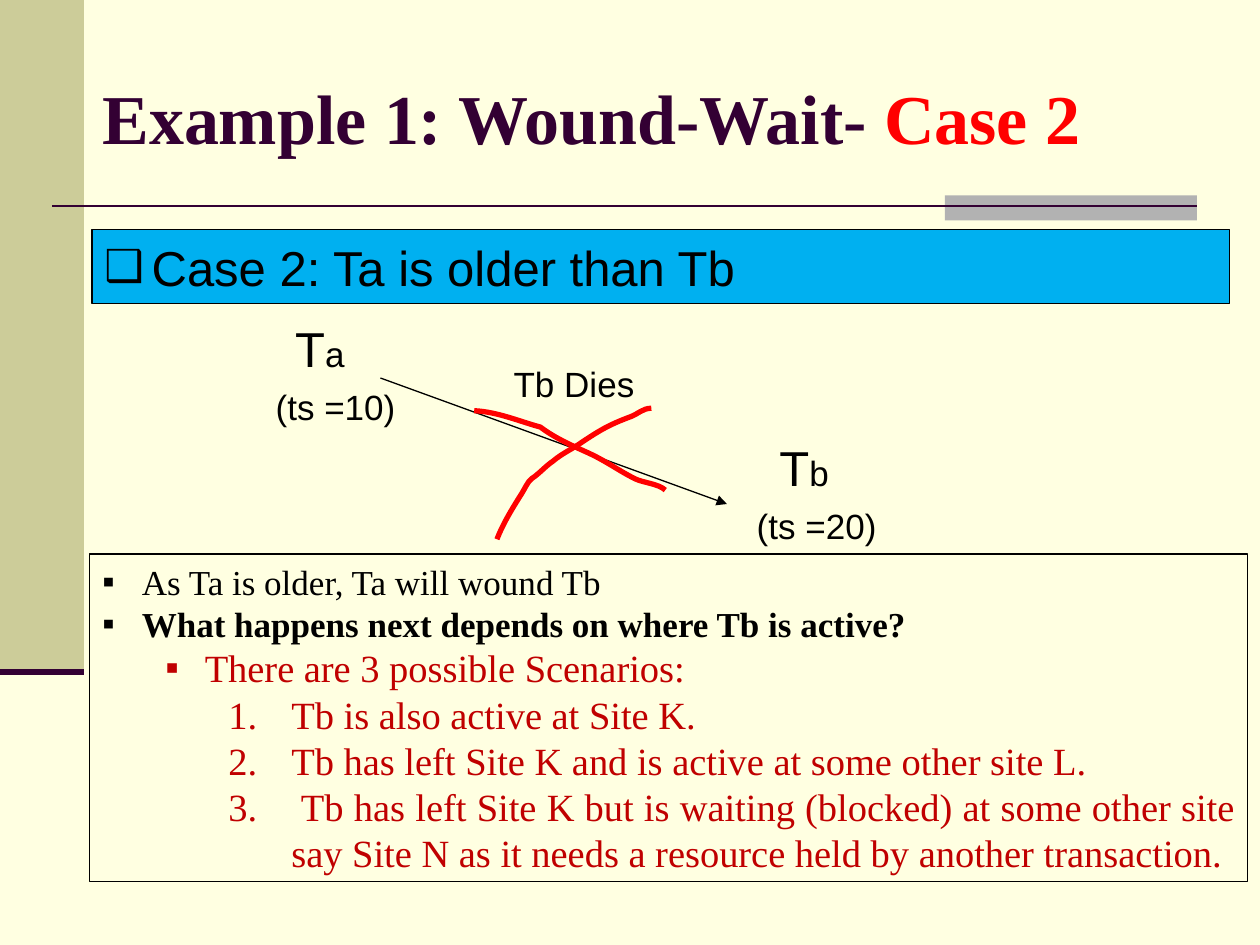
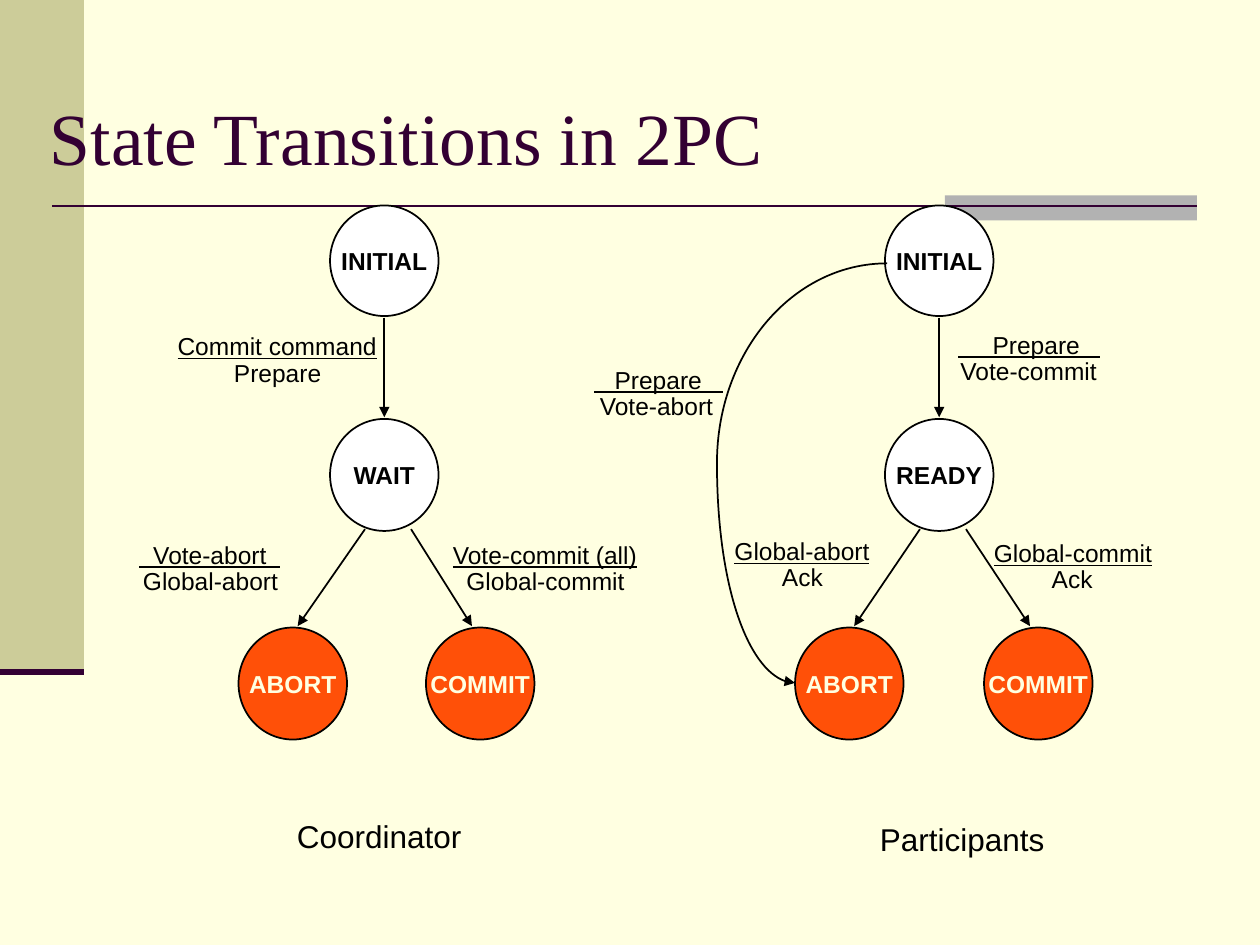
from lxml import etree
from pptx import Presentation
from pptx.dml.color import RGBColor
from pptx.enum.shapes import MSO_CONNECTOR, MSO_SHAPE
from pptx.enum.text import MSO_ANCHOR, MSO_AUTO_SIZE, PP_ALIGN
from pptx.oxml.ns import qn
from pptx.util import Pt

RECT, OVAL = MSO_SHAPE.RECTANGLE, MSO_SHAPE.OVAL
STRAIGHT = MSO_CONNECTOR.STRAIGHT
TOP, MIDDLE = MSO_ANCHOR.TOP, MSO_ANCHOR.MIDDLE
FIXED, GROW = MSO_AUTO_SIZE.NONE, MSO_AUTO_SIZE.SHAPE_TO_FIT_TEXT
LEFT, CENTER, JUSTIFY = PP_ALIGN.LEFT, PP_ALIGN.CENTER, PP_ALIGN.JUSTIFY

HEX = {
    "page": "FFFFE1", "band": "CCCC99", "tab": "B2B2B2", "plum": "330033",
    "black": "000000", "white": "FFFFFF", "red": "FF0000", "dark": "C00000",
    "sky": "00B0F0", "flame": "FF5008",
}
RGB = {name: RGBColor.from_string(code) for name, code in HEX.items()}
SANS, SERIF = "Arial", "Times New Roman"


def stroke(slide, points, color, width, tip=False):
    spots = [(Pt(x), Pt(y)) for x, y in points]
    if len(spots) == 2:
        item = slide.shapes.add_connector(STRAIGHT, *spots[0], *spots[1])
    else:
        pen = slide.shapes.build_freeform(*spots[0])
        pen.add_line_segments(spots[1:], close=False)
        item = pen.convert_to_shape()
        item.fill.background()
        route = item.element.find(".//" + qn("a:path"))
        legs = route.findall(qn("a:lnTo"))
        for first in range(0, len(legs), 3):
            bend = etree.SubElement(route, qn("a:cubicBezTo"))
            for leg in legs[first:first + 3]:
                bend.append(leg[0])
                route.remove(leg)
    item.line.color.rgb = RGB[color]
    item.line.width = Pt(width)
    frame = item.element.spPr
    if tip:
        etree.SubElement(frame.find(qn("a:ln")), qn("a:tailEnd"), type="triangle")
    etree.SubElement(frame, qn("a:effectLst"))
    return item


def label(slide, x, y, w, h, text, size, under=False):
    box = slide.shapes.add_textbox(Pt(x - 1), Pt(y), Pt(w + 2), Pt(h))
    box.text_frame.word_wrap = False
    box.text_frame.auto_size = GROW
    box.text_frame.text = text
    para = box.text_frame.paragraphs[0]
    para.alignment = CENTER
    font = para.runs[0].font
    font.name, font.size, font.underline = SANS, Pt(size), under
    font.color.rgb = RGB["black"]
    return para


deck = Presentation()
deck.slide_width, deck.slide_height = Pt(720), Pt(540)
master = deck.slide_master
master.background.fill.solid()
master.background.fill.fore_color.rgb = RGB["page"]

wound = deck.slides.add_slide(deck.slide_layouts[1])
commit = deck.slides.add_slide(deck.slide_layouts[5])

decor = []
for x, y, w, h, color in ((0, 0, 48, 384, "band"), (540, 111.6, 144, 14.4, "tab")):
    bar = wound.shapes.add_shape(RECT, Pt(x), Pt(y), Pt(w), Pt(h))
    bar.shadow.inherit = False
    bar.fill.solid()
    bar.fill.fore_color.rgb = RGB[color]
    bar.line.fill.background()
    decor.append(bar)
decor.append(stroke(wound, [(30, 117.7), (684, 117.7)], "plum", 1.5))
decor.append(stroke(wound, [(0, 384), (48, 384)], "plum", 3.5))
for index, item in enumerate(decor):
    item.element.find(".//" + qn("p:cNvPr")).set("id", str(20 + index))
    master.shapes.element.append(item.element)

for slide, x, y, w, h, text, size, bold in (
    (wound, 51.3, 21.6, 633, 90, "Example 1: Wound-Wait- ", 40, True),
    (commit, 21.3, 58.6, 550, 38.2, "State Transitions in 2PC", 42, False),
):
    title = slide.shapes.title
    title.left, title.top, title.width, title.height = Pt(x), Pt(y), Pt(w), Pt(h)
    frame = title.text_frame
    frame.text = text
    frame.auto_size, frame.vertical_anchor = FIXED, MIDDLE
    para = frame.paragraphs[0]
    para.alignment = LEFT
    if slide is wound:
        para.add_run().text = "Case 2"
    for run, color in zip(para.runs, ("plum", "red")):
        run.font.name, run.font.size, run.font.bold = SERIF, Pt(size), bold
        run.font.color.rgb = RGB[color]

case = wound.shapes.add_shape(RECT, Pt(52.6), Pt(131.2), Pt(650.2), Pt(42.3))
case.shadow.inherit = False
case.fill.solid()
case.fill.fore_color.rgb = RGB["sky"]
body = wound.placeholders[1]
body.left, body.top, body.width, body.height = Pt(51.3), Pt(316.6), Pt(661.7), Pt(187.2)

big = (28, SANS, "black", False, 0, 27, 27, "❑")
plain = (20, SERIF, "black", False, 0, 22.5, 22.5, "▪")
bold = (20, SERIF, "black", True, 0, 22.5, 22.5, "▪")
sub = (22, SERIF, "dark", False, 1, 58.5, 22.5, "▪")
count = (22, SERIF, "dark", False, 2, 108, 36, None)
for box, anchor, rows in (
    (case, MIDDLE, [("Case 2: Ta is older than Tb", big)]),
    (body, TOP, [
        ("As Ta is older, Ta will wound Tb", plain),
        ("What happens next depends on where Tb is active?", bold),
        ("There are 3 possible Scenarios:", sub),
        ("Tb is also active at Site K.", count),
        ("Tb has left Site K and is active at some other site L.", count),
        (" Tb has left Site K but is waiting (blocked) at some other site "
         "say Site N as it needs a resource held by another transaction.", count),
    ]),
):
    box.line.color.rgb = RGB["black"]
    box.line.width = Pt(0.75)
    frame = box.text_frame
    frame.word_wrap, frame.auto_size, frame.vertical_anchor = True, FIXED, anchor
    frame.text = "\n".join(text for text, look in rows)
    for para, (text, look) in zip(frame.paragraphs, rows):
        size, face, color, heavy, level, left, hang, mark = look
        para.level, para.alignment = level, JUSTIFY
        para.space_before = Pt(0)
        props = para._p.get_or_add_pPr()
        props.set("marL", str(Pt(left)))
        props.set("indent", str(-Pt(hang)))
        tint = etree.SubElement(props, qn("a:buClr"))
        etree.SubElement(tint, qn("a:srgbClr"), val=HEX[color])
        if mark:
            etree.SubElement(props, qn("a:buSzPct"), val="90000" if mark == "❑" else "100000")
            etree.SubElement(props, qn("a:buFont"), typeface=SANS)
            etree.SubElement(props, qn("a:buChar"), char=mark)
        else:
            etree.SubElement(props, qn("a:buFont"), typeface=SERIF)
            etree.SubElement(props, qn("a:buAutoNum"), type="arabicPeriod")
        font = para.runs[0].font
        font.name, font.size, font.bold = face, Pt(size), heavy
        font.color.rgb = RGB[color]

for x, y, name, age, shift in ((161.3, 178.5, "a", 10, -11.5), (438, 246.5, "b", 20, -13.3)):
    para = label(wound, x, y, 43, 40, "T", 28)
    tail = para.add_run()
    tail.text = name
    tail.font.name, tail.font.size = SANS, Pt(20)
    tail.font.color.rgb = RGB["black"]
    label(wound, x + shift, y + 38.5, 84, 30, f"(ts ={age})", 20)
stroke(wound, [(217.4, 216), (415.4, 288)], "black", 0.75, True)
label(wound, 286.3, 203.5, 83.5, 31, "Tb Dies", 20)
stroke(wound, [
    (284, 308.2), (287.3, 299.5), (293, 290.2), (298.1, 282.2),
    (299.5, 280.1), (301.7, 275), (303.8, 273.6),
    (308.2, 270.7), (311.8, 266.4), (316.1, 263.5),
    (321.1, 259.2), (327.6, 256.3), (332.6, 252.7),
    (343.4, 245.5), (348.5, 242.6), (360, 238.3),
    (364.3, 236.9), (367.2, 233.3), (372.2, 233.3),
], "red", 3)
stroke(wound, [
    (271, 234.7), (284.4, 235.4), (295.9, 240.5), (308.9, 244.1),
    (317.5, 250.6), (327.6, 254.9), (337, 259.2),
    (346.3, 263.5), (354.2, 269.3), (362.9, 273.6),
    (367.2, 275.8), (376.6, 276.5), (380.2, 280.1),
], "red", 3)

for x, wait, stop, done in ((188.6, "WAIT", 136.3, 243.4), (505.7, "READY", 454.3, 562.3)):
    stroke(commit, [(x + 31, 181.5), (x + 31, 238.5)], "black", 1, True)
    stroke(commit, [(x + 20, 302.4), (stop + 33.8, 357.8)], "black", 1, True)
    stroke(commit, [(x + 46.3, 302.4), (done + 26.3, 357.8)], "black", 1, True)
    for left, top, high, text, fill, ink in (
        (x, 117.4, 63.2, "INITIAL", "white", "black"),
        (x, 239.4, 64, wait, "white", "black"),
        (stop, 358.6, 64, "ABORT", "flame", "page"),
        (done, 358.6, 64, "COMMIT", "flame", "page"),
    ):
        state = commit.shapes.add_shape(OVAL, Pt(left), Pt(top), Pt(62), Pt(high))
        state.shadow.inherit = False
        state.fill.solid()
        state.fill.fore_color.rgb = RGB[fill]
        state.line.color.rgb = RGB["black"]
        state.line.width = Pt(1)
        frame = state.text_frame
        frame.word_wrap, frame.vertical_anchor = False, MIDDLE
        frame.margin_left = frame.margin_right = 0
        frame.text = text
        para = frame.paragraphs[0]
        para.alignment = CENTER
        font = para.runs[0].font
        font.name, font.size, font.bold = SANS, Pt(14), True
        font.color.rgb = RGB[ink]

stroke(commit, [(409.7, 264.6), (409.7, 201.6), (452.9, 150.5), (506.9, 150.5)], "black", 1)
stroke(commit, [(409.7, 264.6), (409.7, 334.1), (429.8, 390.2), (454.3, 390.2)], "black", 1, True)

for x, y, w, text, under in (
    (94.3, 185.8, 128.2, "Commit command", True),
    (126.7, 200.9, 64, "Prepare", False),
    (251.3, 304.9, 120.2, "Vote-commit (all)", True),
    (259.2, 319.7, 105.1, "Global-commit", False),
    (560.2, 185, 64, "Prepare", False),
    (541.4, 199.9, 92.9, "Vote-commit", False),
    (560.6, 303.9, 105.1, "Global-commit", True),
    (594, 319, 37.4, "Ack", False),
    (344.2, 205.2, 64, "Prepare", False),
    (335.2, 219.9, 79.9, "Vote-abort", False),
    (412.6, 302.8, 91.4, "Global-abort", True),
    (439.9, 317.5, 37.4, "Ack", False),
    (80, 304.9, 79.9, "Vote-abort", False),
    (74.6, 319.7, 91.4, "Global-abort", False),
):
    label(commit, x, y, w, 23.8, text, 14, under)
for x, y, w in ((547.5, 204, 81), (339.5, 223.8, 73.5), (79.5, 324, 80.5)):
    stroke(commit, [(x, y), (x + w, y)], "black", 1)
label(commit, 162.7, 463.3, 108, 28.8, "Coordinator", 18)
label(commit, 495.8, 465.1, 108, 28.8, "Participants", 18)

deck.save("out.pptx")
